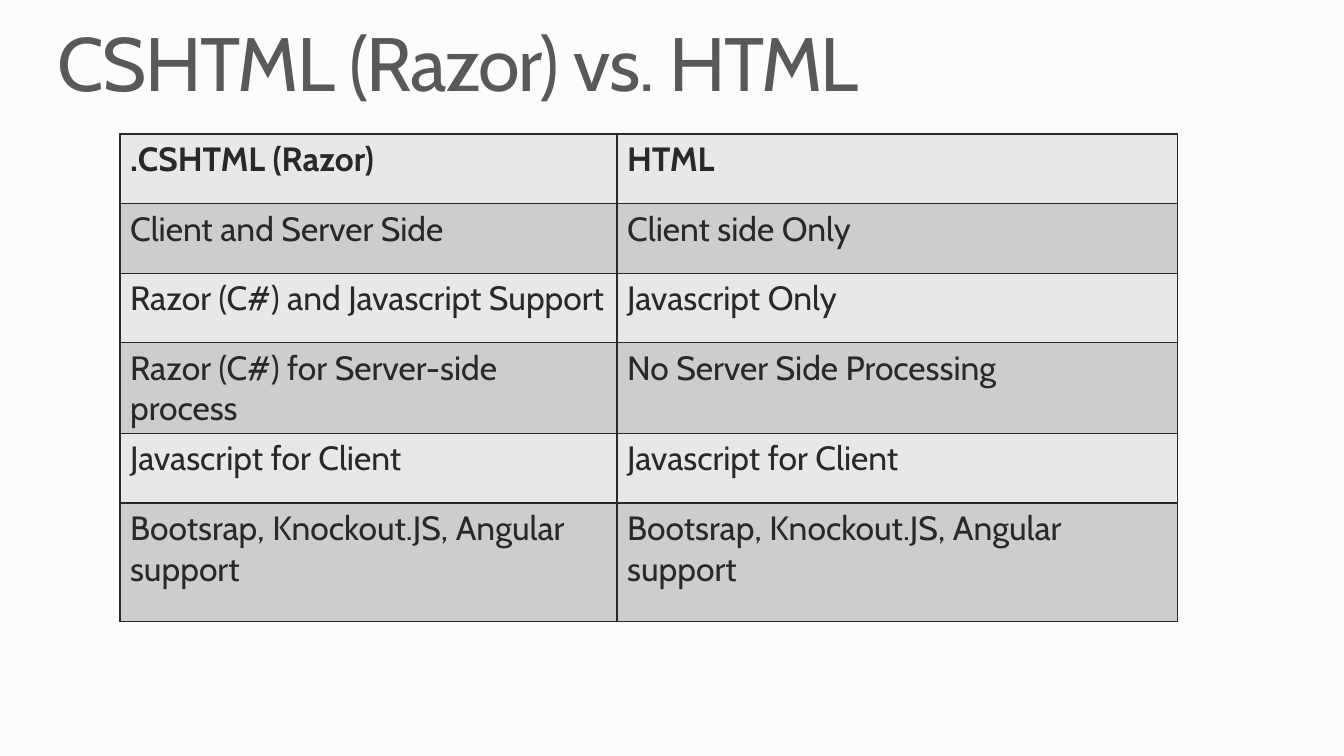
from lxml import etree
from pptx import Presentation
from pptx.dml.color import RGBColor
from pptx.enum.text import MSO_ANCHOR, MSO_AUTO_SIZE, PP_ALIGN
from pptx.oxml.ns import qn
from pptx.util import Inches, Pt

# Content
TITLE = "CSHTML (Razor) vs. HTML"
ROWS = [
    (".CSHTML (Razor)", "HTML"),
    ("Client and Server Side", "Client side Only"),
    ("Razor (C#) and Javascript Support", "Javascript Only"),
    ("Razor (C#) for Server-side process", "No Server Side Processing"),
    ("Javascript for Client", "Javascript for Client"),
    ("Bootsrap, Knockout.JS, Angular support",
     "Bootsrap, Knockout.JS, Angular support"),
]

# Look and layout, in inches
FONT = "Cabin"
COLORS = {"background": "FCFCFC", "title": "595959", "text": "292929",
          "light": "E8E8E8", "dark": "CDCDCD"}
SLIDE_SIZE = (13.33, 7.5)
TITLE_BOX = (0.57, 0.25, 12.19, 0.82)
TABLE_LEFT, TABLE_TOP = 1.19, 1.33
COLUMN_WIDTHS = (4.93, 5.56)
ROW_HEIGHTS = [0.69] * (len(ROWS) - 1) + [1.18]
TITLE_ONLY = 5
MIDDLE, LEFT = MSO_ANCHOR.MIDDLE, PP_ALIGN.LEFT
FIT_SHAPE = MSO_AUTO_SIZE.SHAPE_TO_FIT_TEXT


def color(name):
    return RGBColor.from_string(COLORS[name])


def add_text(paragraph, text, size, color_name, bold=False):
    run = paragraph.add_run()
    run.text = text
    run.font.name = FONT
    run.font.size = Pt(size)
    run.font.bold = bold
    run.font.color.rgb = color(color_name)
    return run


def add_borders(cell, color_name, width):
    properties = cell._tc.get_or_add_tcPr()
    for index, side in enumerate(("lnL", "lnR", "lnT", "lnB")):
        line = etree.Element(qn("a:" + side), w=str(Pt(width)))
        fill = etree.SubElement(line, qn("a:solidFill"))
        etree.SubElement(fill, qn("a:srgbClr"), val=COLORS[color_name])
        properties.insert(index, line)


def add_title(slide):
    title = slide.shapes.title
    title.left, title.top, title.width, title.height = map(Inches, TITLE_BOX)
    frame = title.text_frame
    frame.margin_left = frame.margin_right = 0
    frame.margin_top = frame.margin_bottom = 0
    frame.word_wrap = True
    frame.auto_size = FIT_SHAPE
    frame.vertical_anchor = MIDDLE
    paragraph = frame.paragraphs[0]
    paragraph.alignment = LEFT
    paragraph.line_spacing = 0.9
    run = add_text(paragraph, TITLE, 54, "title")
    run.font._element.set("spc", "-100")


def add_comparison(slide):
    frame = slide.shapes.add_table(
        len(ROWS), len(COLUMN_WIDTHS), Inches(TABLE_LEFT), Inches(TABLE_TOP),
        Inches(sum(COLUMN_WIDTHS)), Inches(sum(ROW_HEIGHTS)))
    table = frame.table
    for column, width in zip(table.columns, COLUMN_WIDTHS):
        column.width = Inches(width)
    for row_index, texts in enumerate(ROWS):
        table.rows[row_index].height = Inches(ROW_HEIGHTS[row_index])
        for column_index, text in enumerate(texts):
            cell = table.cell(row_index, column_index)
            cell.fill.solid()
            cell.fill.fore_color.rgb = color("dark" if row_index % 2 else "light")
            add_borders(cell, "text", 1)
            add_text(cell.text_frame.paragraphs[0], text, 24, "text",
                     bold=row_index == 0)


def main():
    presentation = Presentation()
    presentation.slide_width, presentation.slide_height = map(Inches, SLIDE_SIZE)
    slide = presentation.slides.add_slide(presentation.slide_layouts[TITLE_ONLY])
    slide.background.fill.solid()
    slide.background.fill.fore_color.rgb = color("background")
    add_title(slide)
    add_comparison(slide)
    presentation.save("out.pptx")


if __name__ == "__main__":
    main()
